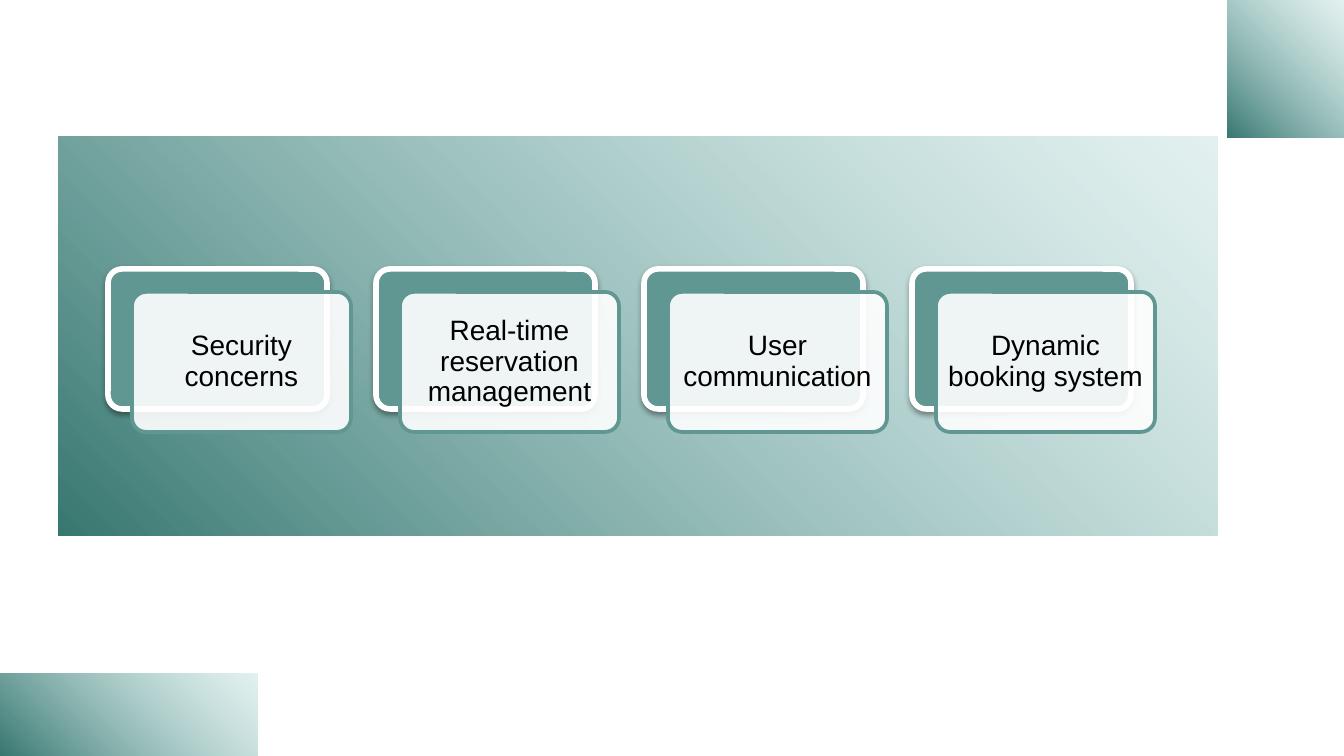
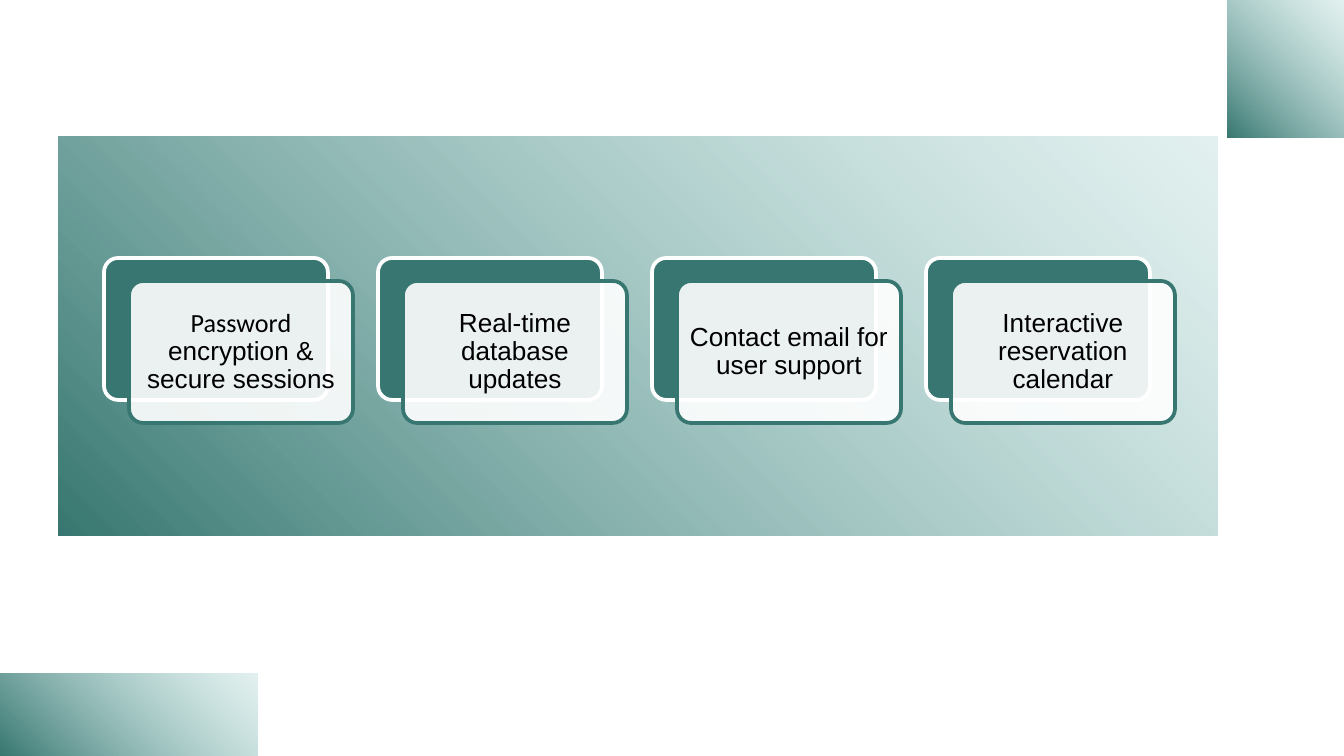
from lxml.etree import SubElement
from pptx import Presentation
from pptx.dml.color import RGBColor
from pptx.enum.shapes import MSO_SHAPE as Shape
from pptx.enum.text import MSO_ANCHOR as Anchor, MSO_AUTO_SIZE as AutoSize, PP_ALIGN as Align
from pptx.oxml.ns import qn
from pptx.util import Emu, Pt

PALE, TEAL, SAGE = "9ECFCB", "387771", "619792"
WHITE, BLACK = "FFFFFF", "000000"
PANEL = (59, 137, 1159, 399)
FOOT_BAND = (0, 674, 257, 82)
CORNER_BAND = (1227, 0, 117, 138)
TITLE_BOX = (470, 257, 403, 85)


def px(length):
    return Emu(round(length * 914400 / 134.4))


def colour(code):
    return RGBColor.from_string(code)


def set_alpha(parent, percent):
    tint = next(parent.iter(qn("a:srgbClr")))
    SubElement(tint, qn("a:alpha")).set("val", str(percent * 1000))


class Deck:
    def __init__(self):
        self.file = Presentation()
        self.file.slide_width, self.file.slide_height = px(1344), px(756)
        self.slide = None

    def start_slide(self, title):
        self.slide = self.file.slides.add_slide(self.file.slide_layouts[5])
        self.band(*PANEL)
        self.title(title)
        self.band(*FOOT_BAND)
        self.band(*CORNER_BAND)

    def shape(self, kind, left, top, width, height):
        shape = self.slide.shapes.add_shape(kind, px(left), px(top), px(width), px(height))
        shape.shadow.inherit = False
        return shape

    def band(self, left, top, width, height):
        band = self.shape(Shape.RECTANGLE, left + (width - height) / 2,
                          top + (height - width) / 2, height, width)
        band.rotation = 270
        band._element.spPr.find(qn("a:xfrm")).set("flipH", "1")
        band.line.fill.background()
        band.fill.gradient()
        band.fill.gradient_angle = 45
        for stop, code in zip(band.fill.gradient_stops, (PALE, TEAL)):
            stop.color.rgb = colour(code)
        set_alpha(band._element.spPr, 29)

    def title(self, words):
        title = self.slide.shapes.title
        self.slide.shapes._spTree.append(title._element)
        title.left, title.top, title.width, title.height = map(px, TITLE_BOX)
        self.text(title.text_frame, [(words, "Roboto")], 36, WHITE, 13, Anchor.TOP, bold=True)

    def text(self, frame, runs, size, code, inset, anchor, bold=False, spacing=None):
        frame.word_wrap = True
        frame.auto_size = AutoSize.NONE
        frame.vertical_anchor = anchor
        frame.margin_left = frame.margin_right = px(inset)
        frame.margin_top = frame.margin_bottom = px(inset)
        paragraph = frame.paragraphs[0]
        paragraph.alignment = Align.CENTER
        paragraph.line_spacing = spacing
        for words, font in runs:
            run = paragraph.add_run()
            run.text = words
            run.font.name, run.font.size, run.font.bold = font, Pt(size), bold
            run.font.color.rgb = colour(code)

    def plate(self, left, top, width, height, fill, line, weight):
        plate = self.shape(Shape.ROUNDED_RECTANGLE, left, top, width, height)
        plate.adjustments[0] = 0.1
        plate.fill.solid()
        plate.fill.fore_color.rgb = colour(fill)
        plate.line.color.rgb = colour(line)
        plate.line.width = Pt(weight)
        return plate

    def drop_shadow(self, shape):
        effects = shape._element.spPr.find(qn("a:effectLst"))
        shadow = SubElement(effects, qn("a:outerShdw"), blurRad="40000", dist="20000",
                            dir="5400000", rotWithShape="0")
        SubElement(shadow, qn("a:srgbClr")).set("val", BLACK)
        set_alpha(shadow, 38)

    def card(self, left, top, width, height, shift, runs, size, accent, rim, shadow):
        back = self.plate(left, top, width, height, accent, WHITE, rim)
        if shadow:
            self.drop_shadow(back)
        left, top = left + shift, top + 23
        front = self.plate(left, top, width, height, WHITE, accent, 2)
        set_alpha(front._element.spPr, 90)
        label = self.slide.shapes.add_textbox(px(left + 4), px(top + 4),
                                              px(width - 8), px(height - 8))
        self.text(label.text_frame, runs, size, BLACK, 8, Anchor.MIDDLE, spacing=0.9)

    def card_row(self, labels, left, top, width, height, step, **style):
        for column, runs in enumerate(labels):
            self.card(left + column * step, top, width, height, runs=runs, **style)


def main():
    deck = Deck()

    challenges = ["Security concerns", "Real-time reservation management",
                  "User communication", "Dynamic booking system"]
    deck.start_slide(".")
    deck.card_row([[(words, "Arial")] for words in challenges], 108, 269, 219, 140, 268,
                  shift=24, size=15, accent=SAGE, rim=3, shadow=True)

    solutions = [
        [("Password", "Calibri"), (" encryption & secure sessions", "Arial")],
        [("Real-time database updates", "Arial")],
        [("Contact email for user support", "Arial")],
        [("Interactive reservation calendar", "Arial")],
    ]
    deck.start_slide(".")
    deck.card_row(solutions, 104, 258, 224, 142, 274,
                  shift=25, size=14, accent=TEAL, rim=2, shadow=False)

    deck.file.save("out.pptx")


if __name__ == "__main__":
    main()
